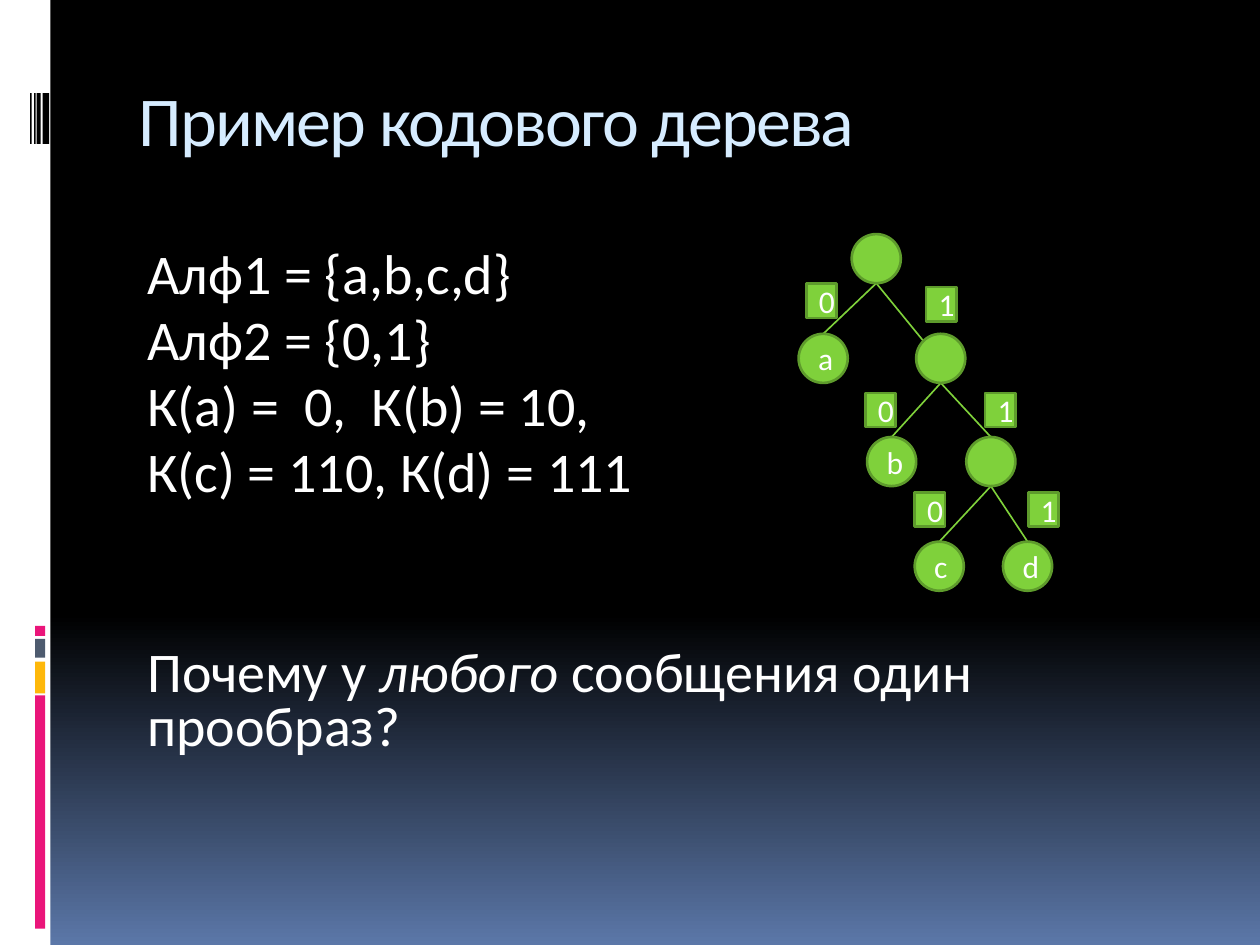
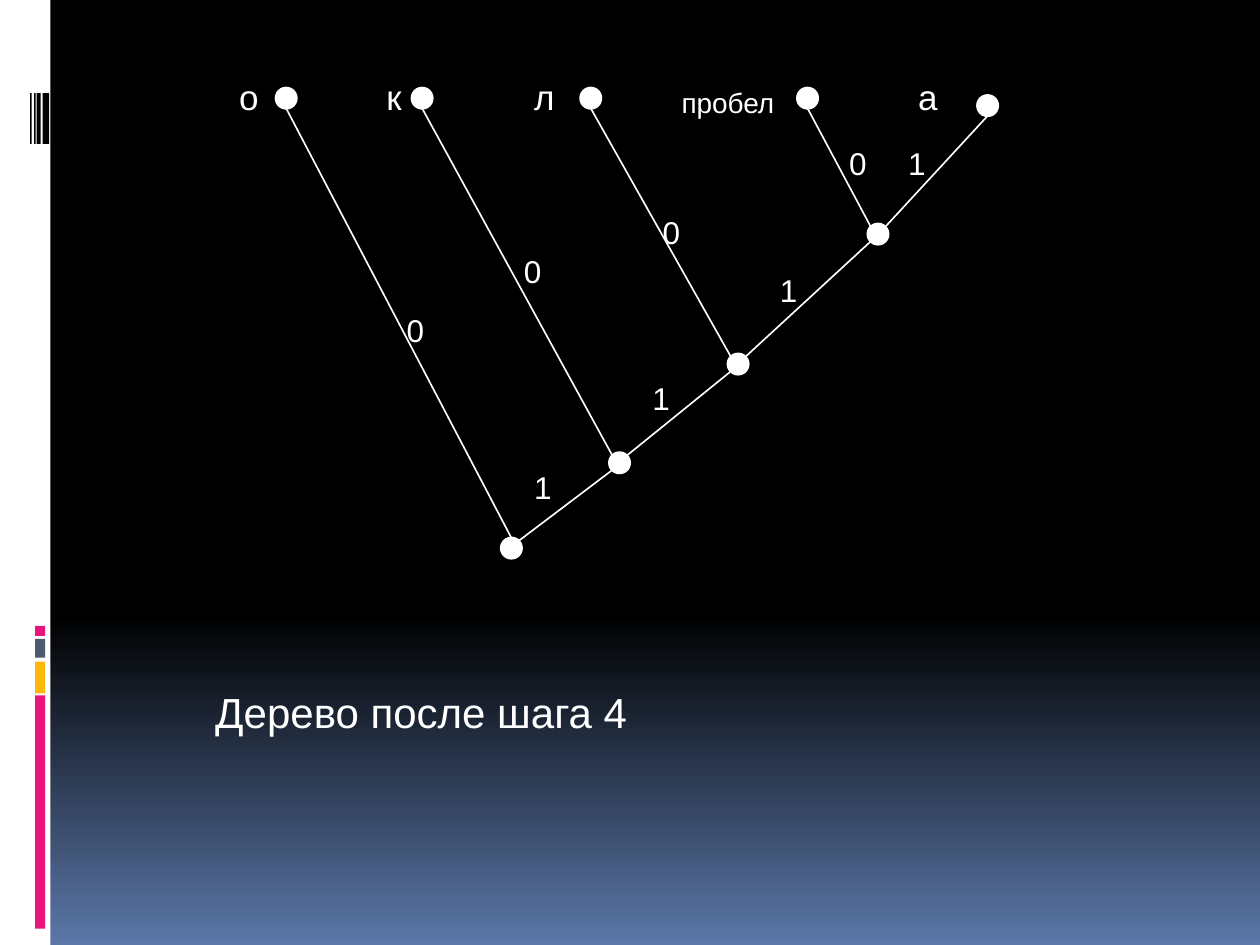
import copy

from pptx import Presentation
from pptx.dml.color import RGBColor
from pptx.enum import shapes, text
from pptx.oxml.ns import qn
from pptx.util import Cm, Pt

BLACK = RGBColor(0x00, 0x00, 0x00)
WHITE = RGBColor(0xFF, 0xFF, 0xFF)
NIGHT_BLUE = RGBColor(0x5B, 0x77, 0xA8)
PALE_BLUE = RGBColor(0xD6, 0xEC, 0xFF)
PINK = RGBColor(0xEA, 0x15, 0x7A)
AMBER = RGBColor(0xFE, 0xB8, 0x0A)
SLATE = RGBColor(0x4E, 0x5B, 0x6F)
GREEN = RGBColor(0x7F, 0xD1, 0x3B)
DARK_GREEN = RGBColor(0x5E, 0x9B, 0x2C)
RECT = shapes.MSO_SHAPE.RECTANGLE
OVAL = shapes.MSO_SHAPE.OVAL


def add_figure(s, kind, x, y, w, h, fill, line=None, label=""):
    """Add a filled shape (lengths in cm), outlined and labelled on request."""
    sp = s.shapes.add_shape(kind, Cm(x), Cm(y), Cm(w), Cm(h))
    sp.shadow.inherit = False
    sp.fill.solid()
    sp.fill.fore_color.rgb = fill
    if line is None:
        sp.line.fill.background()
    else:
        sp.line.color.rgb = line
        sp.line.width = Pt(1.5)
    if label:
        p = sp.text_frame.paragraphs[0]
        p.alignment = text.PP_ALIGN.CENTER
        r = p.add_run()
        r.text = label
        r.font.name = "Calibri"
        r.font.size = Pt(18)
        r.font.color.rgb = WHITE
    return sp


def add_edge(s, x1, y1, x2, y2, color):
    c = s.shapes.add_connector(shapes.MSO_CONNECTOR.STRAIGHT,
                               Cm(x1), Cm(y1), Cm(x2), Cm(y2))
    c.line.color.rgb = color
    c.line.width = Pt(0.94)
    spPr = c._element.spPr
    spPr.append(spPr.makeelement(qn("a:effectLst"), {}))


prs = Presentation()
prs.slide_width, prs.slide_height = Cm(25.4), Cm(19.05)

# Shared background: black fading to blue
master = prs.slide_master
fill = master.background.fill
fill.gradient()
fill.gradient_angle = 270
first = fill.gradient_stops[0]._gs
first.addnext(copy.deepcopy(first))
stops = [(0, BLACK), (0.65, BLACK), (1, NIGHT_BLUE)]
for stop, (position, color) in zip(fill.gradient_stops, stops):
    stop.position = position
    stop.color.rgb = color

# Shared left band, moved to the master once drawn
s = prs.slides.add_slide(prs.slide_layouts[5])
band = [(0, 0, 1.02, 19.05, WHITE)]
for y, h, color in [(14.02, 4.7, PINK), (13.34, 0.64, AMBER),
                    (12.88, 0.38, SLATE), (12.62, 0.2, PINK)]:
    band.append((0.71, y, 0.2, h, color))
for x, w in [(0.86, 0.13), (0.74, 0.08), (0.69, 0.03), (0.61, 0.03)]:
    band.append((x, 1.88, w, 1.02, BLACK))
for x, y, w, h, color in band:
    sp = add_figure(s, RECT, x, y, w, h, color)
    master.shapes._spTree.append(sp._element)

# Slide 1: code tree example
title = s.shapes.title
title.left, title.top, title.width, title.height = Cm(2.54), Cm(1.42), Cm(21.59), Cm(2.54)
tf = title.text_frame
tf.vertical_anchor = text.MSO_ANCHOR.TOP
p = tf.paragraphs[0]
p.alignment = text.PP_ALIGN.LEFT
r = p.add_run()
r.text = "Пример кодового дерева"
r.font.name = "Calibri"
r.font.size = Pt(40)
r.font.color.rgb = PALE_BLUE
r._r.get_or_add_rPr().set("spc", "-100")

tf = s.shapes.add_textbox(Cm(2.54), Cm(4.95), Cm(21.59), Cm(12.7)).text_frame
tf.word_wrap = True
lines = [
    (7, ["Алф1 = {a,b,c,d}"]),
    (7, ["Алф2 = {0,1}"]),
    (7, ["К(а) =  0,  К(b) = 10,"]),
    (7, ["К(с) = 110, К(d) = 111"]),
    (83.5, ["Почему у ", "любого ", "сообщения один прообраз?"]),
]
for i, (space, runs) in enumerate(lines):
    p = tf.add_paragraph() if i else tf.paragraphs[0]
    p.line_spacing = 0.8
    p.space_before = Pt(space)
    p._p.get_or_add_pPr().set("marL", str(Cm(0.18)))
    for words in runs:
        r = p.add_run()
        r.text = words
        r.font.name = "Calibri"
        r.font.size = Pt(32)
        r.font.italic = words == "любого "
        r.font.color.rgb = WHITE

D = 0.99
nodes = {"root": (17.17, 4.72), "right": (18.47, 6.73), "a": (16.1, 6.73),
         "b": (17.48, 8.81), "right2": (19.48, 8.81),
         "c": (18.44, 10.92), "d": (20.22, 10.92)}
for parent, child in [("root", "a"), ("root", "right"), ("right", "b"),
                      ("right", "right2"), ("right2", "c"), ("right2", "d")]:
    (px, py), (cx, cy) = nodes[parent], nodes[child]
    if child == "right":  # this edge ends at the upper left of its node
        end = cx + 0.15 * D, cy + 0.15 * D
    else:
        end = cx + D / 2, cy
    add_edge(s, px + D / 2, py + D, *end, GREEN)
for name, (x, y) in nodes.items():
    add_figure(s, OVAL, x, y, D, D, GREEN, DARK_GREEN, name if len(name) == 1 else "")
for bit, x, y in [("0", 16.26, 5.72), ("1", 18.67, 5.79), ("0", 17.45, 7.92),
                  ("1", 19.86, 7.92), ("0", 18.44, 9.93), ("1", 20.73, 9.93)]:
    add_figure(s, RECT, x, y, 0.61, 0.69, GREEN, DARK_GREEN, bit)

# Slide 2: tree after step 4
s = prs.slides.add_slide(prs.slide_layouts[6])
labels = [("пробел", 13.49, 1.6, 2.59, 0.94, 16),
          ("Дерево после шага 4", 4.09, 13.72, 19.99, 1.27, 24)]
for letter, x in [("о", 4.57), ("к", 7.54), ("л", 10.52), ("а", 18.26)]:
    labels.append((letter, x, 1.4, 0.86, 1.12, 20))
for bit, x, y in [("0", 7.95, 6.15), ("0", 10.31, 4.95), ("0", 13.11, 4.17),
                  ("0", 16.87, 2.77), ("1", 10.52, 9.32), ("1", 12.9, 7.52),
                  ("1", 15.47, 5.33), ("1", 18.06, 2.77)]:
    labels.append((bit, x, y, 0.86, 1.02, 18))
for words, x, y, w, h, size in labels:
    tf = s.shapes.add_textbox(Cm(x), Cm(y), Cm(w), Cm(h)).text_frame
    tf.word_wrap = len(words) > 1
    r = tf.paragraphs[0].add_run()
    r.text = words
    r.font.name = "Arial"
    r.font.size = Pt(size)
    r.font.color.rgb = WHITE

DOT = 0.41
R = DOT / 2
K = 0.7 * R  # offset of a point on the dot's diagonal
leaves = [(5.77, 1.98), (8.51, 1.98), (11.91, 1.98), (16.28, 1.98), (19.91, 2.13)]
joints = [(10.31, 11.05), (12.49, 9.33), (14.88, 7.34), (17.7, 4.72)]
for i, ((lx, ly), (jx, jy)) in enumerate(zip(leaves, joints)):
    end = (jx - K, jy - K) if i else (jx, jy - R)
    add_edge(s, lx, ly + R, *end, WHITE)
for (x1, y1), (x2, y2) in zip(joints, joints[1:]):
    add_edge(s, x1 + K, y1 - K, x2 - K, y2 + K, WHITE)
(lx, ly), (jx, jy) = leaves[-1], joints[-1]
add_edge(s, lx, ly + R, jx + K, jy - K, WHITE)
for x, y in leaves + joints:
    add_figure(s, OVAL, x - R, y - R, DOT, DOT, WHITE, WHITE)

prs.save("out.pptx")
